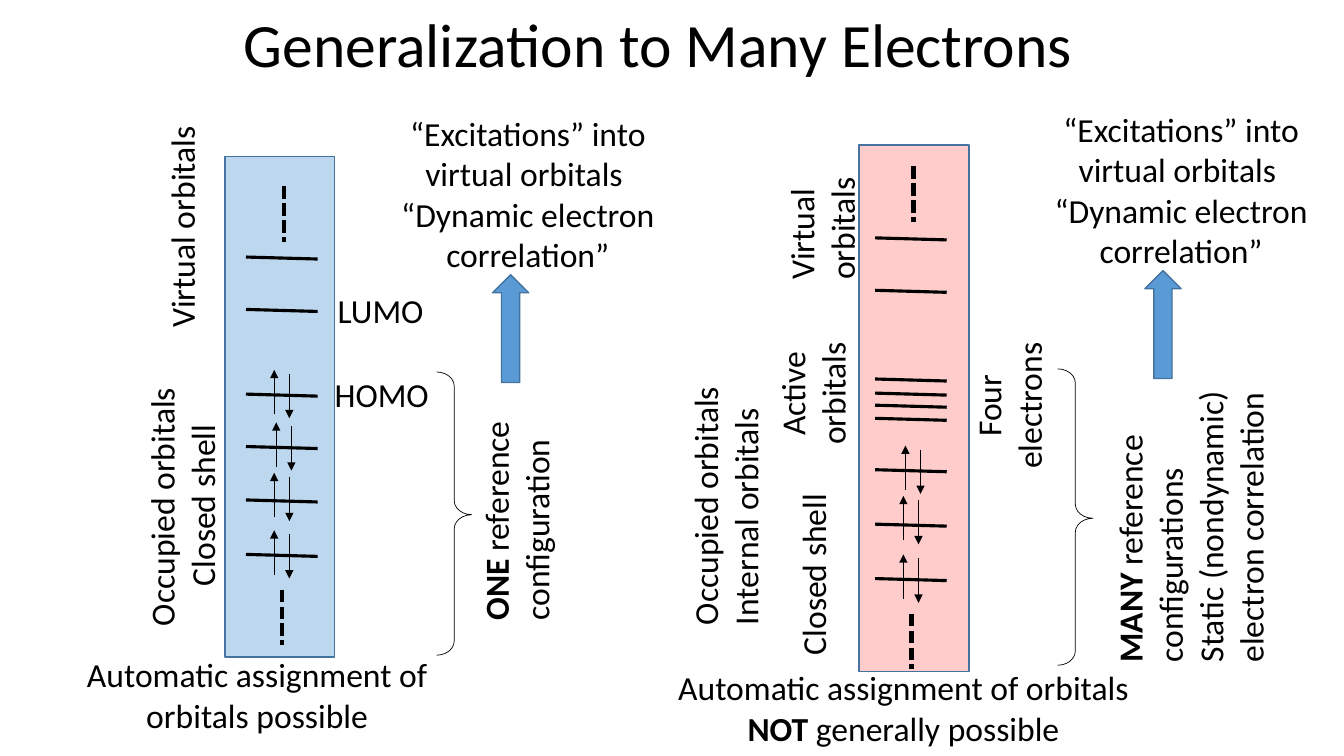
from dataclasses import dataclass

from lxml.etree import SubElement
from pptx import Presentation
from pptx.dml.color import RGBColor
from pptx.enum.dml import MSO_LINE
from pptx.enum.shapes import MSO_CONNECTOR, MSO_SHAPE
from pptx.enum.text import MSO_ANCHOR, MSO_AUTO_SIZE, PP_ALIGN
from pptx.oxml.ns import qn
from pptx.util import Inches, Pt

COLORS = {
    "text": "000000",
    "one_reference": "BDD7EE",
    "many_references": "FFCCCC",
    "arrow": "5B9BD5",
    "outline": "43739E",
}
FONT = "Calibri"
LEFT, CENTER = PP_ALIGN.LEFT, PP_ALIGN.CENTER


@dataclass
class Box:
    """Place of an object in inches, before rotation."""
    left: float
    top: float
    width: float
    height: float
    rotation: int = 0


@dataclass
class Label:
    """Text box; words between double asterisks are bold."""
    box: Box
    paragraphs: tuple[str, ...]
    alignments: tuple[PP_ALIGN, ...] = (CENTER,)
    wrap: bool = True
    line_spacing: float | Pt | None = None
    size: int = 24
    anchor: MSO_ANCHOR = MSO_ANCHOR.TOP


@dataclass
class OrbitalDiagram:
    """Column of orbital levels with its electron pairs, brace and arrow."""
    column: Box
    color: str
    level_left: float
    levels: tuple[float, ...]
    pairs: tuple[tuple[float, float], ...]
    dots: tuple[tuple[float, float], ...]
    brace: Box
    arrow: Box


def rgb(name: str) -> RGBColor:
    """Return a named colour."""
    return RGBColor.from_string(COLORS[name])


def add_line(start: tuple[float, float], end: tuple[float, float], width: float,
             arrow: bool = False, dotted: bool = False) -> None:
    """Draw a black line, with an arrowhead or dots if asked."""
    connector = slide.shapes.add_connector(
        MSO_CONNECTOR.STRAIGHT, *(Inches(value) for value in (*start, *end)))
    connector.line.width = Pt(width)
    connector.line.color.rgb = rgb("text")
    if dotted:
        connector.line.dash_style = MSO_LINE.SQUARE_DOT
    if arrow:
        SubElement(connector.line._get_or_add_ln(), qn("a:tailEnd"), type="triangle")
    SubElement(connector._element.spPr, qn("a:effectLst"))


def add_preset(preset: MSO_SHAPE, box: Box, fill: str | None, line: str, width: float):
    """Draw a preset shape and return it."""
    shape = slide.shapes.add_shape(
        preset, Inches(box.left), Inches(box.top), Inches(box.width), Inches(box.height))
    shape.rotation = box.rotation
    shape.shadow.inherit = False
    if fill:
        shape.fill.solid()
        shape.fill.fore_color.rgb = rgb(fill)
    else:
        shape.fill.background()
    shape.line.color.rgb = rgb(line)
    shape.line.width = Pt(width)
    return shape


def add_electron_pair(left: float, top: float) -> None:
    """Draw one spin-up and one spin-down arrow."""
    add_line((left, top + 0.44), (left, top), 0.75, arrow=True)
    add_line((left + 0.15, top + 0.04), (left + 0.15, top + 0.48), 0.75, arrow=True)


def add_diagram(diagram: OrbitalDiagram) -> None:
    """Draw a complete orbital diagram."""
    left = diagram.level_left
    add_preset(MSO_SHAPE.RECTANGLE, diagram.column, diagram.color, "outline", 1)
    for top in diagram.levels:
        add_line((left, top), (left + 0.71, top + 0.02), 2.25)
    for offset, top in diagram.pairs:
        add_electron_pair(left + offset, top)
    for offset, top in diagram.dots:
        add_line((left + offset, top), (left + offset, top + 0.55), 3, dotted=True)
    brace = add_preset(MSO_SHAPE.RIGHT_BRACE, diagram.brace, None, "text", 0.5)
    brace.adjustments[0], brace.adjustments[1] = 0.4, 0.504
    add_preset(MSO_SHAPE.RIGHT_ARROW, diagram.arrow, "arrow", "outline", 1)


def add_label(label: Label) -> None:
    """Write a label, one alignment per paragraph or one for all."""
    box = label.box
    shape = slide.shapes.add_textbox(
        Inches(box.left), Inches(box.top), Inches(box.width), Inches(box.height))
    shape.rotation = box.rotation
    frame = shape.text_frame
    frame.word_wrap = label.wrap
    frame.auto_size = MSO_AUTO_SIZE.NONE if label.size > 24 else MSO_AUTO_SIZE.SHAPE_TO_FIT_TEXT
    frame.vertical_anchor = label.anchor
    for index, text in enumerate(label.paragraphs):
        paragraph = frame.add_paragraph() if index else frame.paragraphs[0]
        paragraph.alignment = label.alignments[index % len(label.alignments)]
        paragraph.line_spacing = label.line_spacing
        paragraph.font.name = FONT
        paragraph.font.size = Pt(label.size)
        paragraph.font.color.rgb = rgb("text")
        for part, words in enumerate(text.split("**")):
            if words:
                run = paragraph.add_run()
                run.text = words
                run.font.bold = part % 2 == 1


DIAGRAMS = (
    OrbitalDiagram(
        Box(2.23, 1.55, 1.09, 4.97), "one_reference", 2.44,
        (2.55, 3.07, 3.91, 4.43, 4.96, 5.5),
        ((0.28, 3.67), (0.3, 4.19), (0.28, 4.69), (0.28, 5.26)),
        ((0.38, 1.85), (0.36, 5.85)),
        Box(4.33, 3.69, 0.35, 2.81), Box(4.53, 3.08, 1.07, 0.36, 270)),
    OrbitalDiagram(
        Box(8.52, 1.44, 1.09, 5.22), "many_references", 8.68,
        (2.36, 2.88, 3.76, 3.9, 4.02, 4.15, 4.66, 5.2, 5.74),
        ((0.3, 4.42), (0.28, 4.92), (0.28, 5.5)),
        ((0.38, 1.65), (0.36, 6.09)),
        Box(10.49, 3.66, 0.35, 2.94), Box(11, 3.04, 1.07, 0.36, 270)),
)
EXCITATIONS = ("“Excitations” into virtual orbitals ", "“Dynamic electron correlation”")
LABELS = (
    Label(Box(0.78, 0.02, 11.5, 0.9), ("Generalization to Many Electrons",),
          line_spacing=0.9, size=44, anchor=MSO_ANCHOR.MIDDLE),
    Label(Box(0.51, 4.56, 2.59, 0.91, 270), ("Occupied orbitals", "Closed shell"),
          (LEFT, CENTER), wrap=False),
    Label(Box(0.69, 1.99, 2.22, 0.5, 270), ("Virtual orbitals",), (LEFT,), wrap=False),
    Label(Box(3.22, 3.66, 1.15, 0.5), ("HOMO",), (LEFT,), wrap=False),
    Label(Box(3.25, 2.83, 1.06, 0.5), ("LUMO",), (LEFT,), wrap=False),
    Label(Box(7.15, 5.45, 1.82, 0.5, 270), ("Closed shell",), wrap=False),
    Label(Box(7.39, 3.45, 1.34, 0.91, 270), ("Active orbitals",)),
    Label(Box(9.19, 3.57, 1.63, 0.91, 270), ("Four electrons",)),
    Label(Box(5.9, 4.55, 2.59, 0.91, 270), ("Occupied orbitals", "Internal orbitals"),
          (LEFT,), wrap=False),
    Label(Box(7.51, 1.78, 1.28, 0.91, 270), ("Virtual orbitals",), (LEFT,)),
    Label(Box(0.61, 6.44, 3.88, 0.91), ("Automatic assignment of orbitals possible",)),
    Label(Box(6.62, 6.57, 4.68, 0.91),
          ("Automatic assignment of orbitals **NOT** generally possible",)),
    Label(Box(3.93, 4.61, 2.38, 0.91, 270), ("**ONE** reference configuration",), (LEFT,)),
    Label(Box(10.2, 4.2, 3.22, 1.72, 270),
          ("**MANY** reference configurations", "Static (nondynamic) electron correlation"),
          (LEFT,)),
    Label(Box(3.78, 1.07, 2.91, 1.72), EXCITATIONS, line_spacing=Pt(28.8)),
    Label(Box(10.26, 1.03, 2.91, 1.72), EXCITATIONS, line_spacing=Pt(28.8)),
)

presentation = Presentation()
presentation.slide_width = Inches(13.33)
presentation.slide_height = Inches(7.5)
slide = presentation.slides.add_slide(presentation.slide_layouts[6])
for orbital_diagram in DIAGRAMS:
    add_diagram(orbital_diagram)
for slide_label in LABELS:
    add_label(slide_label)
presentation.save("out.pptx")
